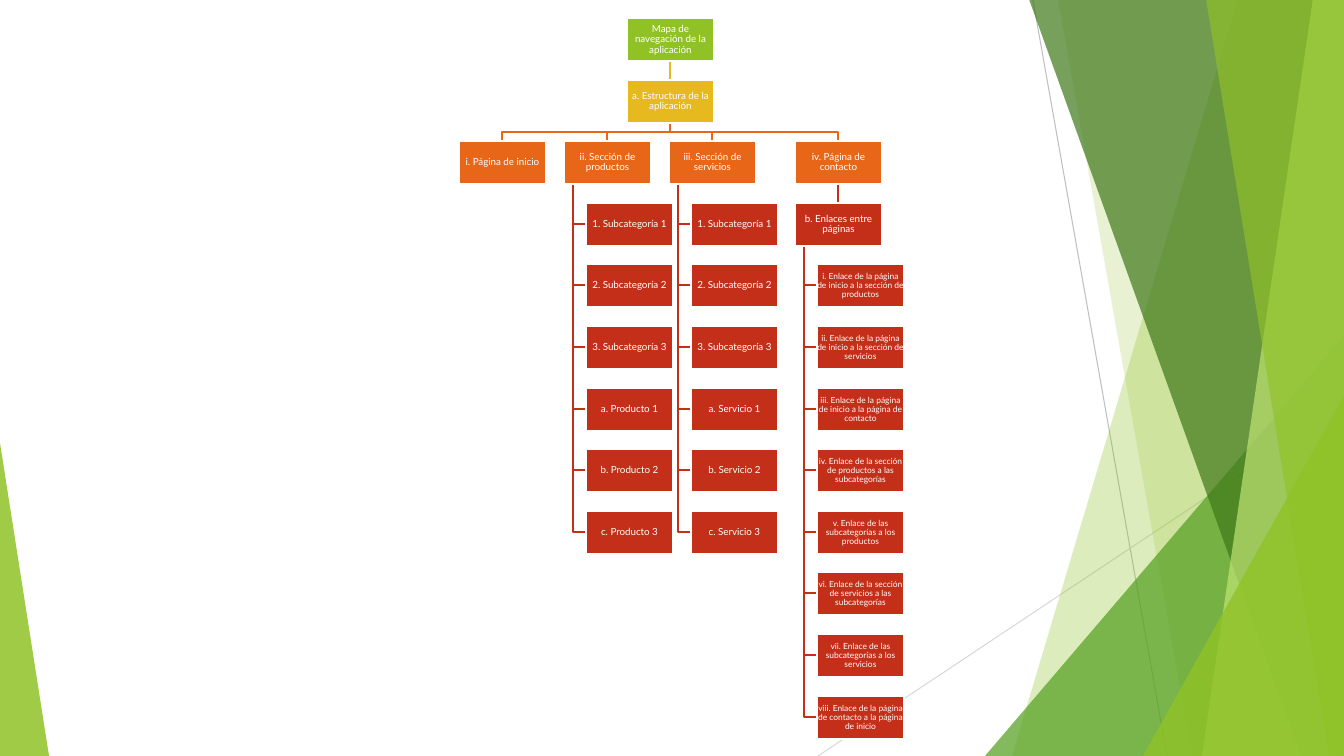
from dataclasses import dataclass

from lxml import etree
from pptx import Presentation
from pptx.dml.color import RGBColor
from pptx.enum.shapes import MSO_CONNECTOR, MSO_SHAPE
from pptx.enum.text import MSO_ANCHOR, PP_ALIGN
from pptx.oxml.ns import qn
from pptx.util import Pt

WIDTH, HEIGHT = 1344, 756
PX = 12192000 / WIDTH


@dataclass(frozen=True)
class Theme:
    font: str = "Lato"
    text_size: float = 7
    long_text_size: float = 6
    line_width: float = 1.5
    thin_line: float = 0.75
    white: str = "FFFFFF"
    lime: str = "90C226"
    pale_lime: str = "C0E474"
    green: str = "54A021"
    dark_green: str = "3F7819"
    yellow: str = "E6B91E"
    orange: str = "E76618"
    red: str = "C42F1A"
    grey: str = "BFBFBF"
    light_grey: str = "D9D9D9"


THEME = Theme()

# Chart grid, in pixels
BOX_W, BOX_H = 87, 43
TOP, ROW_PITCH = 18, 61.6
ROOT_X = 627
INDENT, SPINE = 22, 9

SUBCATEGORIES = [f"{n}. Subcategoría {n}" for n in (1, 2, 3)]
PRODUCTS = SUBCATEGORIES + [f"{c}. Producto {n}" for n, c in enumerate("abc", 1)]
SERVICES = SUBCATEGORIES + [f"{c}. Servicio {n}" for n, c in enumerate("abc", 1)]
PAGE_LINKS = [
    "i. Enlace de la página de inicio a la sección de productos",
    "ii. Enlace de la página de inicio a la sección de servicios",
    "iii. Enlace de la página de inicio a la página de contacto",
    "iv. Enlace de la sección de productos a las subcategorías",
    "v. Enlace de las subcategorías a los productos",
    "vi. Enlace de la sección de servicios a las subcategorías",
    "vii. Enlace de las subcategorías a los servicios",
    "viii. Enlace de la página de contacto a la página de inicio",
]
CONTACT_X = 795
SECTIONS = [
    (459, "i. Página de inicio"),
    (564, "ii. Sección de productos"),
    (669, "iii. Sección de servicios"),
    (CONTACT_X, "iv. Página de contacto"),
]
# Left edge, row of the parent box, children below it, their text size
LISTS = [
    (564, 2, PRODUCTS, THEME.text_size),
    (669, 2, SERVICES, THEME.text_size),
    (CONTACT_X, 3, PAGE_LINKS, THEME.long_text_size),
]


def emu(pixels):
    return round(pixels * PX)


def row_top(row):
    return round(TOP + row * ROW_PITCH)


def paint(shape, color, opacity=100):
    shape.shadow.inherit = False
    shape.fill.solid()
    shape.fill.fore_color.rgb = RGBColor.from_string(color)
    shape.line.fill.background()
    if opacity < 100:
        clr = shape.fill._xPr.find(f"{qn('a:solidFill')}/{qn('a:srgbClr')}")
        etree.SubElement(clr, qn("a:alpha"), val=str(opacity * 1000))


def stroke(shape, color, width):
    shape.line.color.rgb = RGBColor.from_string(color)
    shape.line.width = Pt(width)


def add_preset(slide, kind, x, y, w, h):
    return slide.shapes.add_shape(kind, emu(x), emu(y), emu(w), emu(h))


def add_outline(slide, points, close):
    builder = slide.shapes.build_freeform(*points[0], scale=PX)
    builder.add_line_segments(points[1:], close=close)
    return builder.convert_to_shape()


def add_line(slide, start, end, color, width=THEME.line_width):
    line = slide.shapes.add_connector(
        MSO_CONNECTOR.STRAIGHT, *(emu(v) for v in (*start, *end)))
    stroke(line, color, width)
    etree.SubElement(line._element.spPr, qn("a:effectLst"))


def add_elbow(slide, points, color):
    elbow = add_outline(slide, points, close=False)
    elbow.shadow.inherit = False
    elbow.fill.background()
    stroke(elbow, color, THEME.line_width)


def add_band(slide, top_x, bottom_x, color, opacity):
    """Panel with a slanted left side that reaches the right slide edge."""
    corners = [(top_x, -1), (WIDTH, -1), (WIDTH, HEIGHT), (bottom_x, HEIGHT)]
    paint(add_outline(slide, corners, close=True), color, opacity)


def add_triangle(slide, x, y, w, apex, color, opacity):
    triangle = add_preset(slide, MSO_SHAPE.ISOSCELES_TRIANGLE, x, y, w, HEIGHT - y)
    triangle.adjustments[0] = apex
    paint(triangle, color, opacity)


def add_box(slide, x, row, text, color, size=THEME.text_size):
    box = add_preset(slide, MSO_SHAPE.RECTANGLE, x, row_top(row), BOX_W, BOX_H)
    paint(box, color)
    stroke(box, THEME.white, THEME.line_width)
    frame = box.text_frame
    frame.word_wrap = True
    frame.vertical_anchor = MSO_ANCHOR.MIDDLE
    frame.margin_left = frame.margin_right = frame.margin_top = frame.margin_bottom = 0
    paragraph = frame.paragraphs[0]
    paragraph.alignment = PP_ALIGN.CENTER
    paragraph.line_spacing = 0.9
    run = paragraph.add_run()
    run.text = text
    run.font.name = THEME.font
    run.font.size = Pt(size)
    run.font.color.rgb = RGBColor.from_string(THEME.white)


def add_drop(slide, x, row, color):
    """Straight link from a box to the one right below it."""
    center = x + BOX_W // 2
    add_line(slide, (center, row_top(row) + BOX_H), (center, row_top(row + 1)), color)


def draw_background(slide):
    add_line(slide, (1033, 0), (1167, HEIGHT), THEME.grey, THEME.thin_line)
    add_line(slide, (WIDTH, 406), (818, HEIGHT), THEME.light_grey, THEME.thin_line)
    add_band(slide, 1238, 1012, THEME.lime, 30)
    add_band(slide, 1058, 1192, THEME.lime, 20)
    add_triangle(slide, 985, 336, 359, 1, THEME.green, 72)
    add_band(slide, 1029, 1301, THEME.dark_green, 70)
    add_band(slide, 1313, 1202, THEME.pale_lime, 70)
    add_band(slide, 1206, 1329, THEME.lime, 65)
    add_triangle(slide, 1143, 396, 201, 1, THEME.lime, 80)
    add_triangle(slide, 0, 443, 49, 0, THEME.lime, 85)


def draw_links(slide):
    for x, row, children, _ in LISTS:
        spine, start = x + SPINE, row_top(row) + BOX_H
        for child_row in range(row + 1, row + 1 + len(children)):
            middle = row_top(child_row) + BOX_H // 2
            add_elbow(slide, [(spine, start), (spine, middle), (x + INDENT, middle)],
                      THEME.red)
    add_drop(slide, CONTACT_X, 2, THEME.red)
    start, end = row_top(1) + BOX_H, row_top(2)
    middle, half = (start + end) // 2, BOX_W // 2
    for x, _ in SECTIONS:
        add_elbow(slide, [(ROOT_X + half, start), (ROOT_X + half, middle),
                          (x + half, middle), (x + half, end)], THEME.orange)
    add_drop(slide, ROOT_X, 0, THEME.yellow)


def draw_boxes(slide):
    add_box(slide, ROOT_X, 0, "Mapa de navegación de la aplicación", THEME.lime)
    add_box(slide, ROOT_X, 1, "a. Estructura de la aplicación", THEME.yellow)
    for x, text in SECTIONS:
        add_box(slide, x, 2, text, THEME.orange)
    add_box(slide, CONTACT_X, 3, "b. Enlaces entre páginas", THEME.red)
    for x, row, children, size in LISTS:
        for child_row, text in enumerate(children, row + 1):
            add_box(slide, x + INDENT, child_row, text, THEME.red, size)


def main():
    prs = Presentation()
    prs.slide_width, prs.slide_height = emu(WIDTH), emu(HEIGHT)
    slide = prs.slides.add_slide(prs.slide_layouts[6])
    draw_background(slide)
    draw_links(slide)
    draw_boxes(slide)
    prs.save("out.pptx")


main()
